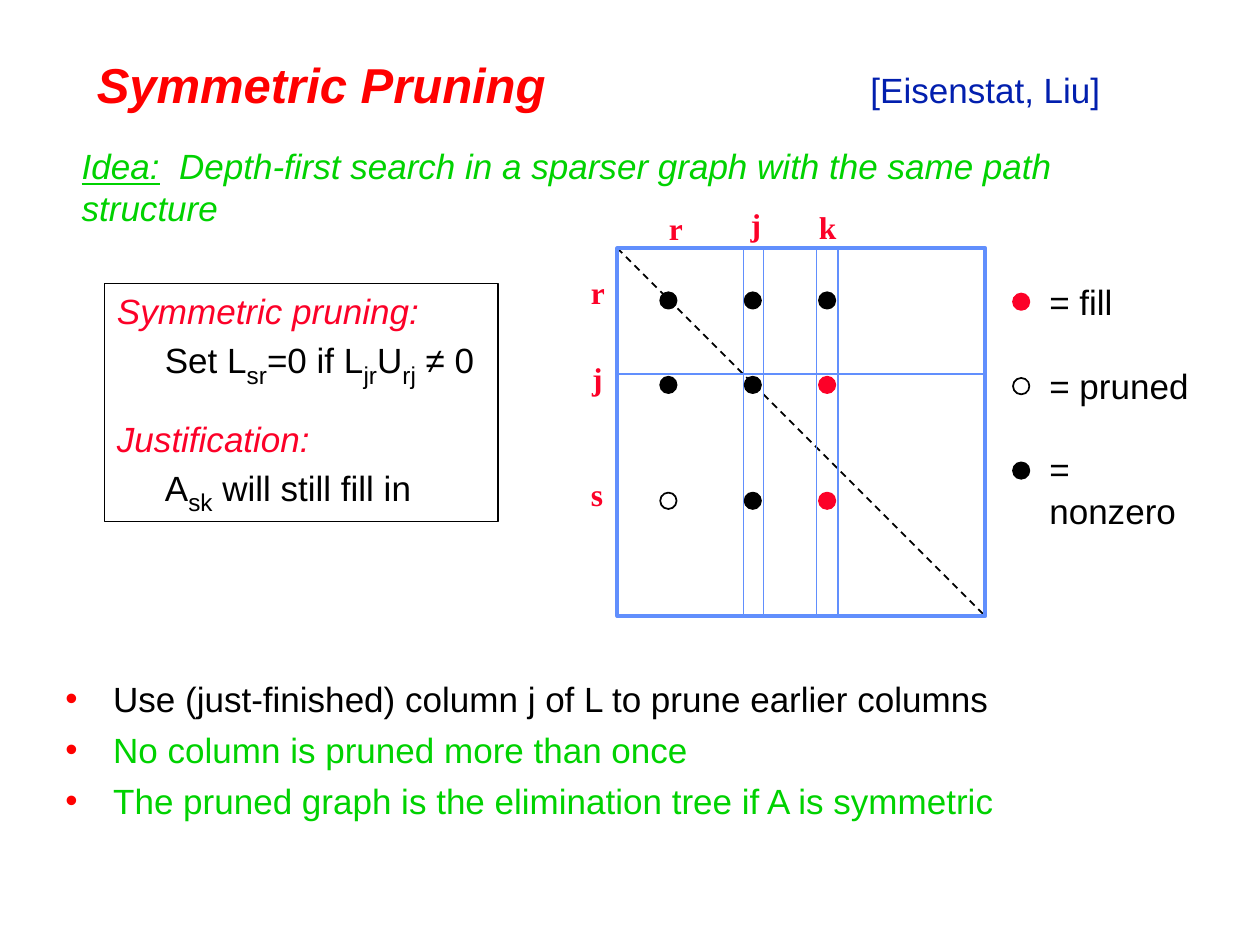
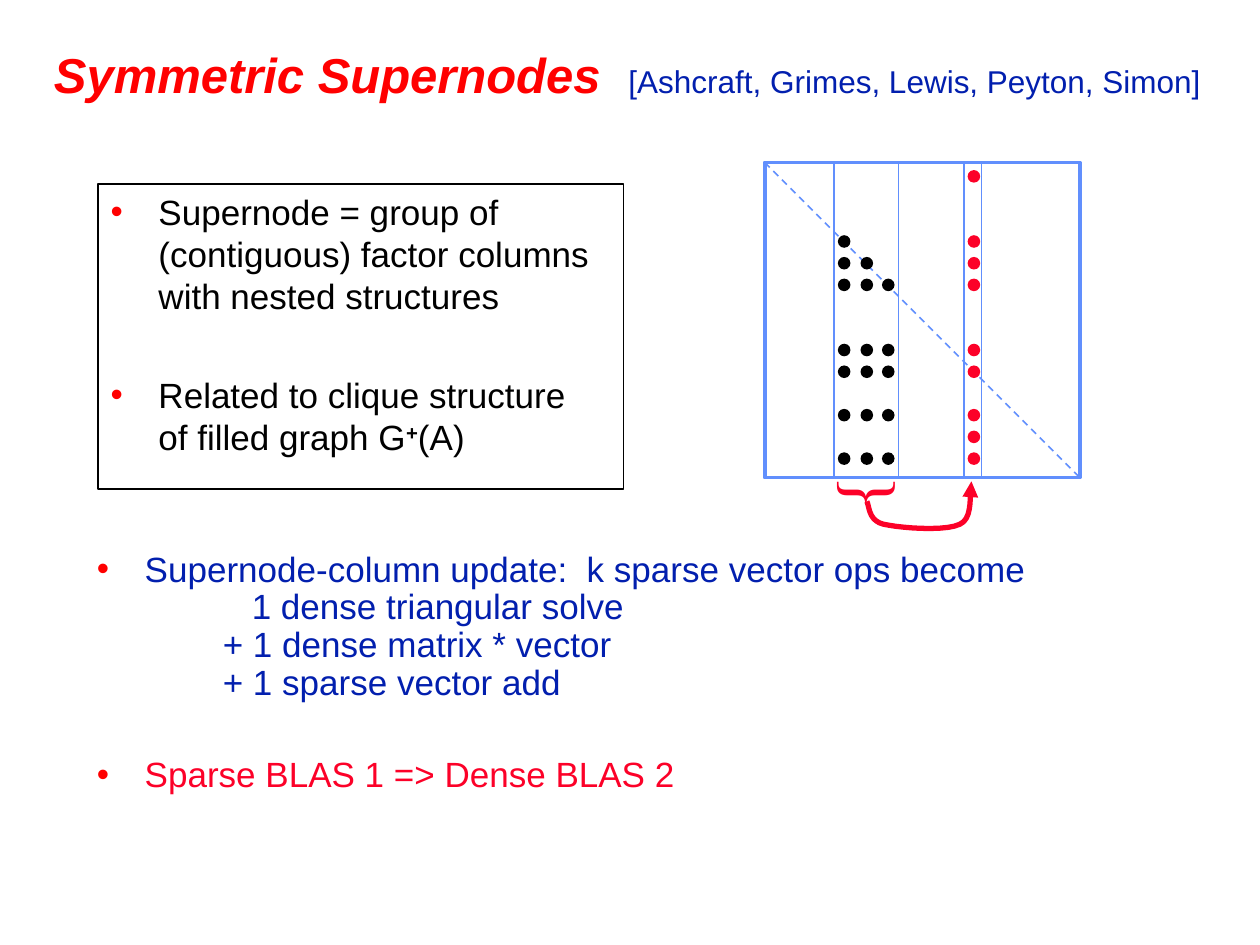
from dataclasses import dataclass
from lxml.etree import SubElement
from pptx import Presentation
from pptx.dml.color import RGBColor
from pptx.enum.dml import MSO_LINE
from pptx.enum.shapes import MSO_CONNECTOR, MSO_SHAPE
from pptx.enum.text import MSO_ANCHOR, PP_ALIGN
from pptx.oxml.ns import qn
from pptx.util import Inches, Pt


@dataclass(frozen=True)
class Theme:
    title: str = "FF0000"
    red: str = "FC0128"
    green: str = "00D200"
    navy: str = "021FAE"
    blue: str = "618FFD"
    black: str = "000000"
    sans: str = "Arial"
    serif: str = "Times New Roman"
    title_size: int = 28
    body_size: int = 20
    small_size: int = 18
    sub_size: int = 24
    brace_size: int = 40


T = Theme()
TITLE = dict(color=T.title, size=T.title_size, bold=True, italic=True)
CITE = dict(color=T.navy)
HEAD = dict(color=T.red, italic=True)
LABEL = dict(color=T.red, size=T.small_size, name=T.serif, bold=True)
BRACE = dict(color=T.red, size=T.brace_size, name=T.serif)
SUB = dict(size=T.sub_size, baseline=-25)
SUPER = dict(bold=True, baseline=30)
HANG = dict(hang=0.38, space_before=Pt(5))
BULLET = dict(HANG, bullet=True)
TIGHT = dict(BULLET, line_spacing=0.9)


def write(tf, paras, wrap=True, anchor=MSO_ANCHOR.TOP):
    """Fill a text frame from (paragraph format, [(text, run format), ...]) pairs."""
    tf.word_wrap, tf.vertical_anchor = wrap, anchor
    for i, (fmt, runs) in enumerate(paras):
        p = tf.paragraphs[0] if i == 0 else tf.add_paragraph()
        p.alignment = PP_ALIGN.LEFT
        for key in ("space_before", "line_spacing"):
            if key in fmt:
                setattr(p, key, fmt[key])
        pPr = p._p.get_or_add_pPr()
        if "hang" in fmt:
            pPr.set("marL", str(Inches(fmt["hang"])))
            pPr.set("indent", str(-Inches(fmt["hang"])))
        if "bullet" in fmt:
            clr = SubElement(pPr, qn("a:buClr"))
            SubElement(clr, qn("a:srgbClr"), val=T.title)
            SubElement(pPr, qn("a:buFont"), typeface=T.sans)
            SubElement(pPr, qn("a:buChar"), char="•")
        if "tabs" in fmt:
            tabs = SubElement(pPr, qn("a:tabLst"))
            for x in fmt["tabs"]:
                SubElement(tabs, qn("a:tab"), pos=str(Inches(x)), algn="l")
        for text, run_fmt in runs:
            look = dict(name=T.sans, size=T.body_size, color=T.black) | run_fmt
            look["size"] = Pt(look["size"])
            color, baseline = look.pop("color"), look.pop("baseline", 0)
            for n, line in enumerate(text.split("\n")):
                if n:
                    p.add_line_break()
                if not line:
                    continue
                r = p.add_run()
                r.text = line
                for key, value in look.items():
                    setattr(r.font, key, value)
                r.font.color.rgb = RGBColor.from_string(color)
                if baseline:
                    r._r.get_or_add_rPr().set("baseline", str(baseline * 1000))


def style(sp, fill=None, line=None, width=1):
    """Give a shape its fill and outline, without a shadow."""
    sp.shadow.inherit = False
    for part, color in ((sp.fill, fill), (sp.line.fill, line)):
        if color:
            part.solid()
            part.fore_color.rgb = RGBColor.from_string(color)
        else:
            part.background()
    if line:
        sp.line.width = Pt(width)
    return sp


prs = Presentation()
prs.slide_width, prs.slide_height = Inches(10), Inches(7.5)
pruning, supernodes = [prs.slides.add_slide(prs.slide_layouts[6]) for _ in range(2)]

# Titles: slide, box, title, citation, its tab stop and size
titles = [
    (pruning, (0.67, 0.33, 8.19, 0.67), "Symmetric Pruning",
     "[Eisenstat, Liu]", 6.14, T.body_size),
    (supernodes, (0.33, 0.25, 9.33, 0.67), "Symmetric Supernodes",
     "[Ashcraft, Grimes, Lewis, Peyton, Simon]", 4.56, T.small_size),
]
for s, box, title, cite, tab, size in titles:
    tb = s.shapes.add_textbox(*map(Inches, box))
    write(tb.text_frame, [(dict(tabs=[tab]), [
        (title, TITLE), ("\t", dict(CITE, size=size)), (cite, dict(CITE, size=size))])],
        anchor=MSO_ANCHOR.MIDDLE)

# Framed statements
frames = [
    (pruning, (0.83, 2.25, 3.12, 1.89), [
        (HANG, [("Symmetric pruning:\n", HEAD), ("Set L", {}), ("sr", SUB),
                ("=0 if L", {}), ("jr", SUB), ("U", {}), ("rj", SUB), (" ≠ 0", {})]),
        (dict(HANG, space_before=Pt(16)), [
            ("Justification:\n", HEAD), ("A", {}), ("sk", SUB),
            (" will still fill in", {})]),
    ]),
    (supernodes, (0.78, 1.46, 4.17, 2.42), [
        (BULLET, [("Supernode = group of (contiguous) factor columns "
                   "with nested structures", {})]),
        (dict(BULLET, space_before=Pt(33)), [
            ("Related to clique structure\nof filled graph G", {}),
            ("+", SUPER), ("(A)", {})]),
    ]),
]
for s, box, paras in frames:
    sp = s.shapes.add_shape(MSO_SHAPE.RECTANGLE, *map(Inches, box))
    write(style(sp, line=T.black).text_frame, paras)

# Body bullets
bodies = [
    (pruning, (0.42, 5.33, 9.33, 1.58), [
        (BULLET, [("Use (just-finished) column j of L to prune earlier columns", {})]),
        (BULLET, [("No column is pruned more than once", dict(color=T.green))]),
        (BULLET, [("The pruned graph is the elimination tree if A is symmetric",
                   dict(color=T.green))]),
    ]),
    (supernodes, (0.67, 4.33, 8.75, 2.19), [
        (dict(TIGHT, tabs=[1, 1.23]), [
            ("Supernode-column update:  k sparse vector ops become\n"
             "\t\t1 dense triangular solve\n"
             "\t+ 1 dense matrix * vector\n"
             "\t+ 1 sparse vector add", dict(color=T.navy))]),
        (dict(TIGHT, space_before=Pt(31)), [
            ("Sparse BLAS 1 => Dense BLAS 2", dict(color=T.red))]),
    ]),
]
for s, box, paras in bodies:
    write(s.shapes.add_textbox(*map(Inches, box)).text_frame, paras)

# Matrices: slide, left, top, side, column edges, row edges, diagonal colour
matrices = [
    (pruning, 4.9, 1.97, 2.92, (5.9, 6.06, 6.48, 6.65), (2.97,), T.black),
    (supernodes, 6.07, 1.29, 2.5, (6.62, 7.13, 7.65, 7.79), (), T.blue),
]
for s, left, top, side, cols, rows, diagonal in matrices:
    right, bottom = left + side, top + side
    lines = [(left, top, right, bottom, diagonal)]
    lines += [(x, top, x, bottom, T.blue) for x in cols]
    lines += [(left, y, right, y, T.blue) for y in rows]
    for i, (x1, y1, x2, y2, color) in enumerate(lines):
        c = s.shapes.add_connector(MSO_CONNECTOR.STRAIGHT, *map(Inches, (x1, y1, x2, y2)))
        c.line.color.rgb = RGBColor.from_string(color)
        c.line.width = Pt(1)
        if i == 0:
            c.line.dash_style = MSO_LINE.DASH
        SubElement(c._element.spPr, qn("a:effectLst"))
    sp = s.shapes.add_shape(MSO_SHAPE.RECTANGLE, *map(Inches, (left, top, side, side)))
    style(sp, line=T.blue, width=2.25)

# Matrix entries: slide, left, top, diameter, fill, outline
nonzero, fill, pruned = (T.black, T.black), (T.red, T.red), (None, T.black)
entry_rows = [(2.32, (nonzero, nonzero, nonzero)),
              (2.99, (nonzero, nonzero, fill)),
              (3.91, (pruned, nonzero, fill))]
dots = [(pruning, x, y, 0.13, *kind)
        for y, kinds in entry_rows for x, kind in zip((5.24, 5.91, 6.5), kinds)]
legend = [("= fill", fill), ("= pruned", pruned), ("= nonzero", nonzero)]
dots += [(pruning, 8.04, 2.33 + 0.67 * i, 0.13, *kind)
         for i, (_, kind) in enumerate(legend)]

pitch = (3.59 - 1.35) / 13
column_rows = (0, 3, 4, 5, 8, 9, 11, 12, 13)
dots += [(supernodes, 7.68, 1.35 + pitch * n, 0.1, T.red, None) for n in column_rows]
dots += [(supernodes, x, 1.35 + pitch * n, 0.1, T.black, None)
         for x, first in ((6.65, 3), (6.83, 4), (7, 5))
         for n in column_rows if n >= first and n != 12]
for s, x, y, d, color, line in dots:
    sp = s.shapes.add_shape(MSO_SHAPE.OVAL, *map(Inches, (x, y, d, d)))
    style(sp, color, line)

# Unwrapped labels: slide, box, rotation, runs
labels = [(pruning, (0.55, 1.1, 9.06, 0.44), 0, [
    ("Idea:", dict(color=T.green, italic=True, underline=True)),
    ("  Depth-first search in a sparser graph with the same path structure",
     dict(color=T.green, italic=True))])]
labels += [(pruning, (x, y, 0.31, 0.4), 0, [(name, LABEL)]) for name, x, y in (
    ("r", 5.21, 1.61), ("j", 5.86, 1.58), ("k", 6.4, 1.6),
    ("r", 4.59, 2.12), ("j", 4.6, 2.8), ("s", 4.59, 3.72))]
labels += [(pruning, (8.23, 2.18 + 0.66 * i, 1.44, 0.44), 0, [(text, {})])
           for i, (text, _) in enumerate(legend)]
labels += [(supernodes, (6.58, 3.53, 0.46, 0.77), 270, [("{", BRACE)])]
for s, box, turn, runs in labels:
    tb = s.shapes.add_textbox(*map(Inches, box))
    tb.rotation = turn
    write(tb.text_frame, [({}, runs)], wrap=False)

# Curved arrow from the supernode to the updated column
curves = [((6.88, 3.98), (6.9, 4.01), (6.89, 4.13), (7.01, 4.16)),
          ((7.01, 4.16), (7.14, 4.19), (7.5, 4.22), (7.62, 4.16)),
          ((7.62, 4.16), (7.73, 4.11), (7.69, 3.9), (7.71, 3.82))]
steps = 10
points = []
for curve in curves:
    for t in (n / steps for n in range(1, steps + 1)):
        weights = ((1 - t) ** 3, 3 * t * (1 - t) ** 2, 3 * t * t * (1 - t), t ** 3)
        points.append([Inches(sum(w * v for w, v in zip(weights, axis)))
                       for axis in zip(*curve)])
fb = supernodes.shapes.build_freeform(*map(Inches, curves[0][0]))
fb.add_line_segments(points, close=False)
sp = style(fb.convert_to_shape(), line=T.red, width=3)
SubElement(sp.line._get_or_add_ln(), qn("a:tailEnd"), type="triangle")

prs.save("out.pptx")
